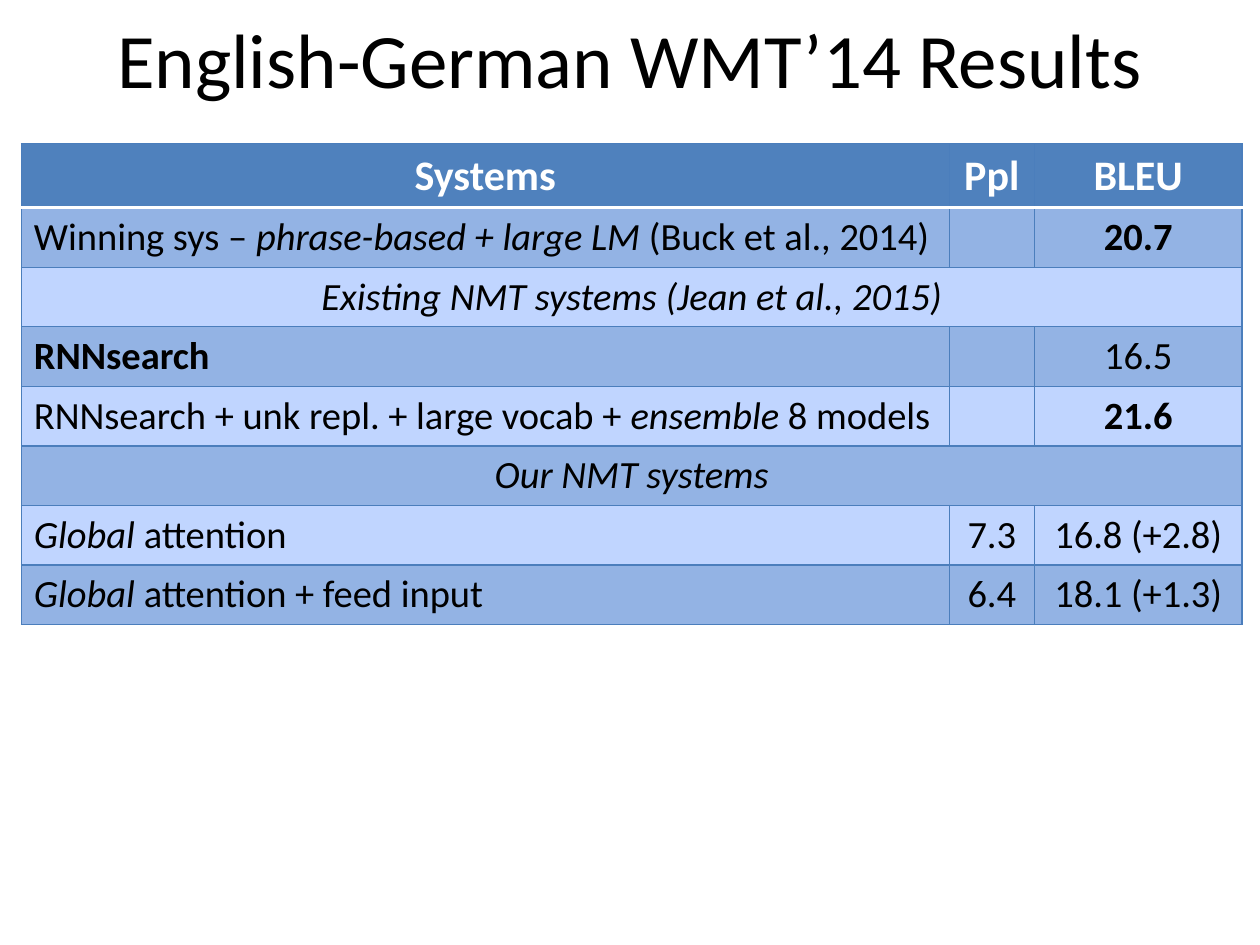
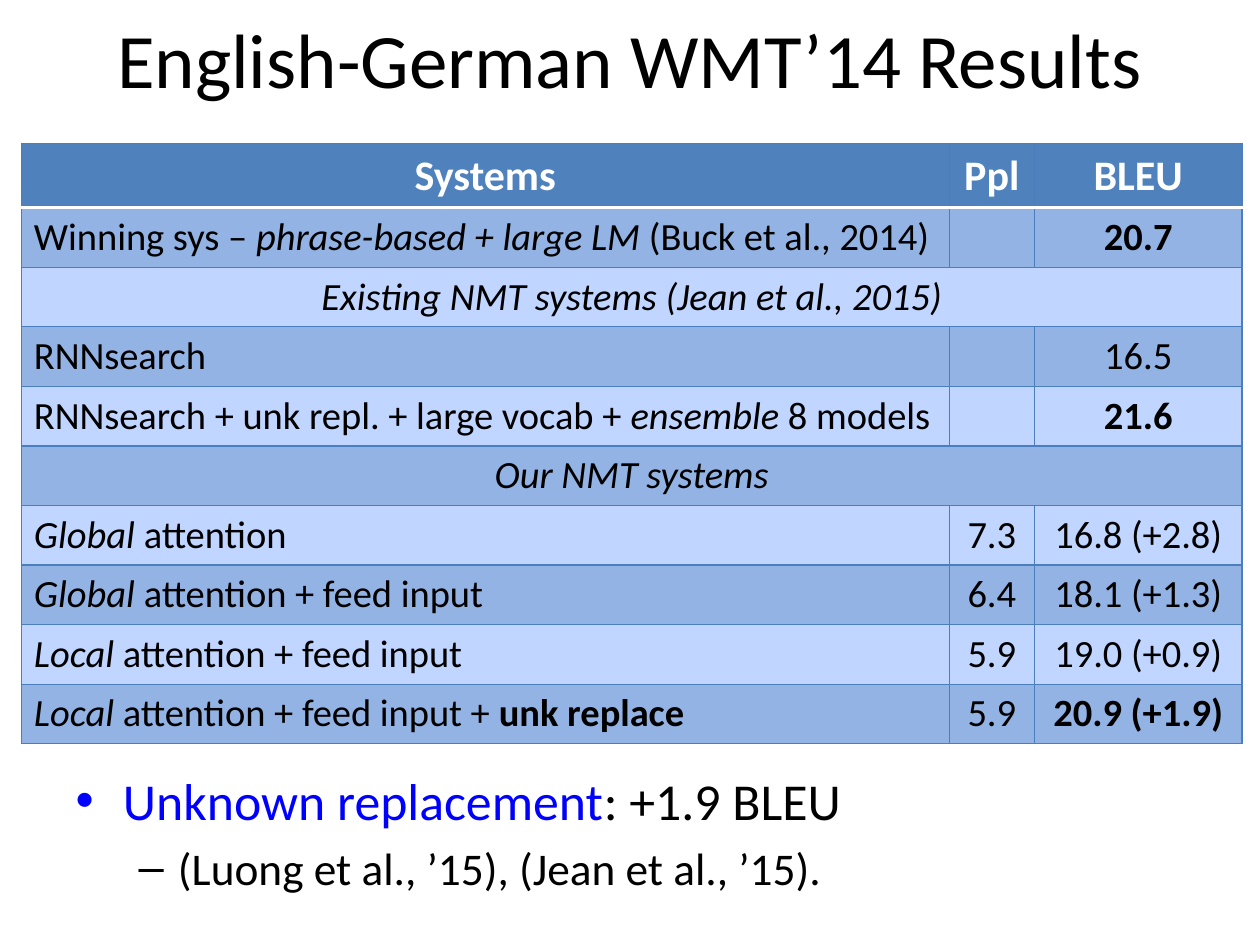
from lxml.etree import SubElement
from pptx import Presentation
from pptx.dml.color import RGBColor
from pptx.enum.text import MSO_ANCHOR as Anchor, MSO_AUTO_SIZE as AutoSize, PP_ALIGN as Align
from pptx.oxml.ns import qn
from pptx.util import Cm, Pt

FONT = "Calibri"
BLACK, WHITE, BLUE = "000000", "FFFFFF", "0000FF"
HEADER_FILL, GRID_LINE = "4F81BD", "4B7EBC"
BAND_FILLS = "C0D5FF", "93B3E4"  # even rows, odd rows

TITLE = "English-German WMT’14 Results"
TITLE_ONLY, TITLE_AND_BODY = 5, 1  # layout indexes
TITLE_BOX = 1.27, -0.43, 22.86, 3.18
TABLE_BOX = 0.43, 2.9, 24.61
BODY_BOX = 1.27, 15.37, 22.86, 2.74
COLUMN_SHARES = 0.76, 0.07, 0.17
HEADER_HEIGHT, ROW_HEIGHT = 1.29, 1.2

# A cell is a list of (text, style) runs; a row of one cell spans the table.
PLAIN, BOLD, ITALIC = {}, {"bold": True}, {"italic": True}
HEADER = "Systems", "Ppl", "BLEU"


def earlier_systems(baseline_style):
    return [
        ([("Winning sys – ", PLAIN), ("phrase-based + large LM ", ITALIC),
          ("(Buck et al., 2014)", PLAIN)], [], [("20.7", BOLD)]),
        ([("Existing NMT systems (Jean et al., 2015)", ITALIC)],),
        ([("RNNsearch", baseline_style)], [], [("16.5", PLAIN)]),
        ([("RNNsearch + unk repl. + large vocab + ", PLAIN), ("ensemble", ITALIC),
          (" 8 models", PLAIN)], [], [("21.6", BOLD)]),
        ([("Our NMT systems", ITALIC)],),
    ]


def attention_system(kind, name, perplexity, bleu, addition="", bleu_style=PLAIN):
    system = [(f"{kind} ", ITALIC), (name, PLAIN)]
    if addition:
        system.append((addition, BOLD))
    return system, [(perplexity, PLAIN)], [(bleu, bleu_style)]


GLOBAL_SYSTEMS = [
    attention_system("Global", "attention", "7.3", "16.8 (+2.8)"),
    attention_system("Global", "attention + feed input", "6.4", "18.1 (+1.3)"),
]
LOCAL_SYSTEMS = [
    attention_system("Local", "attention + feed input", "5.9", "19.0 (+0.9)"),
    attention_system("Local", "attention + feed input + ", "5.9", "20.9 (+1.9)",
                     "unk replace", BOLD),
]


def rgb(value):
    return RGBColor.from_string(value)


def write(paragraph, text, size=22, color=BLACK, bold=False, italic=False):
    """Add one formatted run to the paragraph."""
    run = paragraph.add_run()
    run.text = text
    font = run.font
    font.name, font.size, font.bold, font.italic = FONT, Pt(size), bold, italic
    font.color.rgb = rgb(color)


def place(shape, box):
    shape.left, shape.top, shape.width, shape.height = map(Cm, box)


def add_slide(presentation, layout_index):
    slide = presentation.slides.add_slide(presentation.slide_layouts[layout_index])
    title = slide.shapes.title
    place(title, TITLE_BOX)
    title.text_frame.vertical_anchor = Anchor.MIDDLE
    paragraph = title.text_frame.paragraphs[0]
    paragraph.alignment = Align.CENTER
    write(paragraph, TITLE, size=44)
    return slide


def add_border(cell, side, color, width):
    properties = cell._tc.get_or_add_tcPr()
    line = SubElement(properties, qn(f"a:ln{side}"), w=str(Pt(width)))
    SubElement(SubElement(line, qn("a:solidFill")), qn("a:srgbClr"), val=color)


def style_cell(cell, row_index):
    """Draw the grid lines and the fill that belong to the row."""
    rules = dict.fromkeys("LRTB", (GRID_LINE, 0.75))
    if row_index == 0:
        rules["B"] = WHITE, 2
    elif row_index == 1:
        rules["T"] = WHITE, 2
    for side, (color, width) in rules.items():
        add_border(cell, side, color, width)
    cell.fill.solid()
    cell.fill.fore_color.rgb = rgb(BAND_FILLS[row_index % 2] if row_index else HEADER_FILL)


def add_results_table(slide, box, systems):
    left, top, width = box
    header_style = dict(size=24, color=WHITE, bold=True)
    rows = [[[(label, header_style)] for label in HEADER], *systems]
    height = HEADER_HEIGHT + ROW_HEIGHT * len(systems)
    table = slide.shapes.add_table(len(rows), len(HEADER), Cm(left), Cm(top),
                                   Cm(width), Cm(height)).table
    for column, share in zip(table.columns, COLUMN_SHARES):
        column.width = Cm(width * share)
    for row_index, cells in enumerate(rows):
        table.rows[row_index].height = Cm(ROW_HEIGHT if row_index else HEADER_HEIGHT)
        for cell in table.rows[row_index].cells:
            style_cell(cell, row_index)
        spans = len(cells) == 1
        if spans:
            table.cell(row_index, 0).merge(table.cell(row_index, len(HEADER) - 1))
        for column_index, runs in enumerate(cells):
            cell = table.cell(row_index, column_index)
            if row_index == 0:
                cell.vertical_anchor = Anchor.MIDDLE
            paragraph = cell.text_frame.paragraphs[0]
            centred = row_index == 0 or spans or column_index > 0
            paragraph.alignment = Align.CENTER if centred else Align.LEFT
            for text, style in runs:
                write(paragraph, text, **style)


def add_replacement_notes(slide, box):
    body = slide.placeholders[1]
    place(body, box)
    frame = body.text_frame
    frame.auto_size = AutoSize.NONE
    gain = frame.paragraphs[0]
    gain.space_before = Pt(0)
    write(gain, "Unknown replacement", size=29.6, color=BLUE)
    write(gain, ": +1.9 BLEU", size=29.6)
    references = frame.add_paragraph()
    references.level = 1
    write(references, "(Luong et al., ’15), (Jean et al., ’15).", size=25.9)


def main():
    presentation = Presentation()
    presentation.slide_width, presentation.slide_height = Cm(25.4), Cm(19.05)

    slide = add_slide(presentation, TITLE_ONLY)
    add_results_table(slide, TABLE_BOX, earlier_systems(BOLD) + GLOBAL_SYSTEMS)

    slide = add_slide(presentation, TITLE_AND_BODY)
    add_results_table(slide, TABLE_BOX,
                      earlier_systems(PLAIN) + GLOBAL_SYSTEMS + LOCAL_SYSTEMS)
    add_replacement_notes(slide, BODY_BOX)

    presentation.save("out.pptx")


if __name__ == "__main__":
    main()
